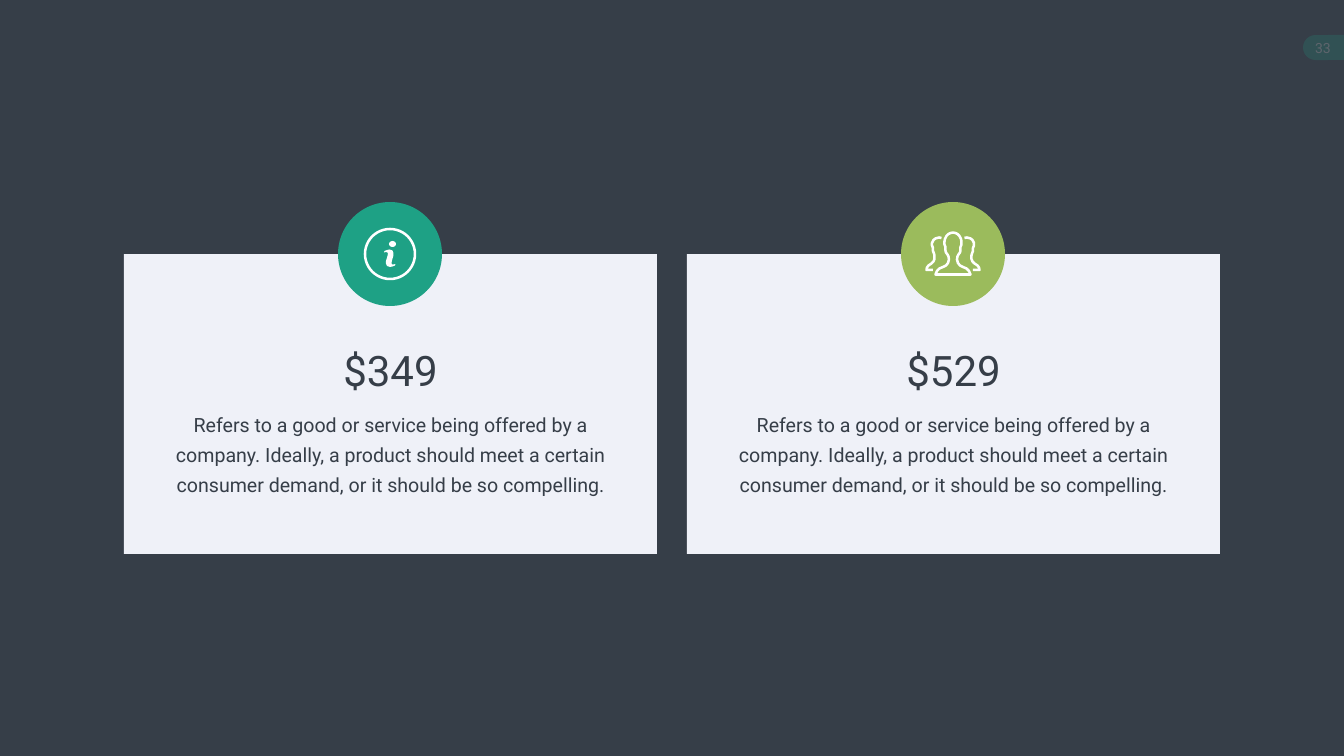
from lxml.etree import SubElement
from pptx import Presentation
from pptx.dml.color import RGBColor
from pptx.enum.shapes import MSO_SHAPE as Shape
from pptx.enum.text import MSO_ANCHOR as Anchor, PP_ALIGN as Align
from pptx.oxml.ns import qn
from pptx.util import Pt

EMU_PER_PX = 914400 / 50.4
WIDTH, HEIGHT = 1344, 756
COLORS = {
    "slate": "363E48",
    "panel": "EFF1F8",
    "teal": "1EA185",
    "green": "9BBB5C",
    "white": "FFFFFF",
}
FONT = "Roboto"
ICON_STROKE = 3.6  # points
ICON_UNIT = 0.5  # px for each step of an icon outline

# Icon outlines, measured from the icon centre
INFO_STEM = [
    (4, 21), (3, 18), (4, 13), (7, 3), (7, -2), (5, -7), (-1, -9), (-6, -8),
    (-11, -6), (-12, -3), (-8, -4), (-5, -3), (-4, -1), (-5, 4), (-8, 14),
    (-8, 19), (-6, 24), (0, 26), (5, 25), (10, 23), (11, 20), (7, 21),
]
FRONT_PERSON_HALF = [
    (0, -43), (5, -42), (9, -40), (13, -36), (16, -30), (17, -25), (17, -19),
    (15, -14), (15, -7), (14, -3), (11, 1), (9, 5), (8, 11), (10, 18),
    (14, 23), (20, 26), (27, 29), (32, 34), (35, 41),
]
SIDE_PERSON = [
    (23, -32), (28, -33), (35, -31), (39, -28), (42, -22), (42, -17),
    (40, -12), (40, -6), (38, -1), (37, 3), (37, 10), (39, 15), (43, 19),
    (49, 23), (52, 27), (53, 32), (40, 32),
]

DESCRIPTION = (
    "Refers to a good or service being offered by a company. Ideally, a product "
    "should meet a certain consumer demand, or it should be so compelling."
)


def px(length):
    return round(length * EMU_PER_PX)


def mirror(points):
    return [(-x, y) for x, y in points]


class Canvas:
    def __init__(self, slide):
        self.slide = slide
        self.shapes = slide.shapes

    def color(self, name):
        return RGBColor.from_string(COLORS[name])

    def background(self, name):
        fill = self.slide.background.fill
        fill.solid()
        fill.fore_color.rgb = self.color(name)

    def paint(self, shape, fill=None, stroke=None, opacity=100):
        shape.shadow.inherit = False
        if fill:
            shape.fill.solid()
            shape.fill.fore_color.rgb = self.color(fill)
        else:
            shape.fill.background()
        if stroke:
            shape.line.color.rgb = self.color(stroke)
            shape.line.width = Pt(ICON_STROKE)
        else:
            shape.line.fill.background()
        if opacity < 100:
            tint = shape.fill._xPr.find(qn("a:solidFill"))[0]
            SubElement(tint, qn("a:alpha"), val=str(opacity * 1000))
        return shape

    def shape(self, kind, x, y, width, height, **style):
        shape = self.shapes.add_shape(kind, px(x), px(y), px(width), px(height))
        return self.paint(shape, **style)

    def outline(self, center, points, close=True, **style):
        builder = self.shapes.build_freeform(*points[0], scale=px(ICON_UNIT))
        builder.add_line_segments(points[1:], close=close)
        return self.paint(builder.convert_to_shape(*map(px, center)), **style)

    def text(self, words, x, y, width, height, size, color="slate",
             inset=(5, 3), line=None, anchor=Anchor.TOP):
        box = self.shapes.add_textbox(px(x), px(y), px(width), px(height))
        frame = box.text_frame
        frame.word_wrap = True
        frame.vertical_anchor = anchor
        frame.margin_left = frame.margin_right = px(inset[0])
        frame.margin_top = frame.margin_bottom = px(inset[1])
        para = frame.paragraphs[0]
        para.alignment = Align.CENTER
        if line:
            para.line_spacing = Pt(line)
        span = para.add_run()
        span.text = words
        span.font.name = FONT
        span.font.size = Pt(size)
        span.font.color.rgb = self.color(color)

    def info_icon(self, x, y):
        self.shape(Shape.OVAL, x - 25, y - 25, 50, 50, stroke="white")
        self.shape(Shape.OVAL, x - 1, y - 13, 7, 6, fill="white")
        self.outline((x, y), INFO_STEM, fill="white")

    def people_icon(self, x, y):
        front = FRONT_PERSON_HALF + mirror(FRONT_PERSON_HALF[:0:-1])
        self.outline((x, y), front, stroke="white")
        for side in (SIDE_PERSON, mirror(SIDE_PERSON)):
            self.outline((x, y), side, close=False, stroke="white")

    def price_card(self, x, price, color, icon):
        top, width, height, badge = 254, 533, 300, 104
        middle = x + width // 2
        self.shape(Shape.RECTANGLE, x, top, width, height, fill="panel")
        self.text(price, middle - 188, top + 88, 377, 56, 60)
        self.text(DESCRIPTION, middle - 230, top + 146, 461, 101, 28,
                  inset=(12, 6), line=43)
        self.shape(Shape.OVAL, middle - badge // 2, top - badge // 2,
                   badge, badge, fill=color)
        icon(middle, top)


def main():
    deck = Presentation()
    deck.slide_width, deck.slide_height = px(WIDTH), px(HEIGHT)
    canvas = Canvas(deck.slides.add_slide(deck.slide_layouts[6]))
    canvas.background("slate")

    # Page number tab, dimmed by the overlay
    tab = canvas.shape(Shape.FLOWCHART_DELAY, 1303, 35, 25, 25, fill="teal")
    tab.rotation = 180
    canvas.shape(Shape.RECTANGLE, 1328, 35, 16, 25, fill="teal")
    canvas.text("33", 1303, 35, 40, 25, 20, "white", inset=(0, 0),
                anchor=Anchor.MIDDLE)
    canvas.shape(Shape.RECTANGLE, 0, 0, WIDTH, HEIGHT, fill="slate", opacity=80)

    # Price cards
    cards = [
        ("$349", "teal", canvas.info_icon),
        ("$529", "green", canvas.people_icon),
    ]
    for index, card in enumerate(cards):
        canvas.price_card(124 + index * 563, *card)

    deck.save("out.pptx")


if __name__ == "__main__":
    main()
